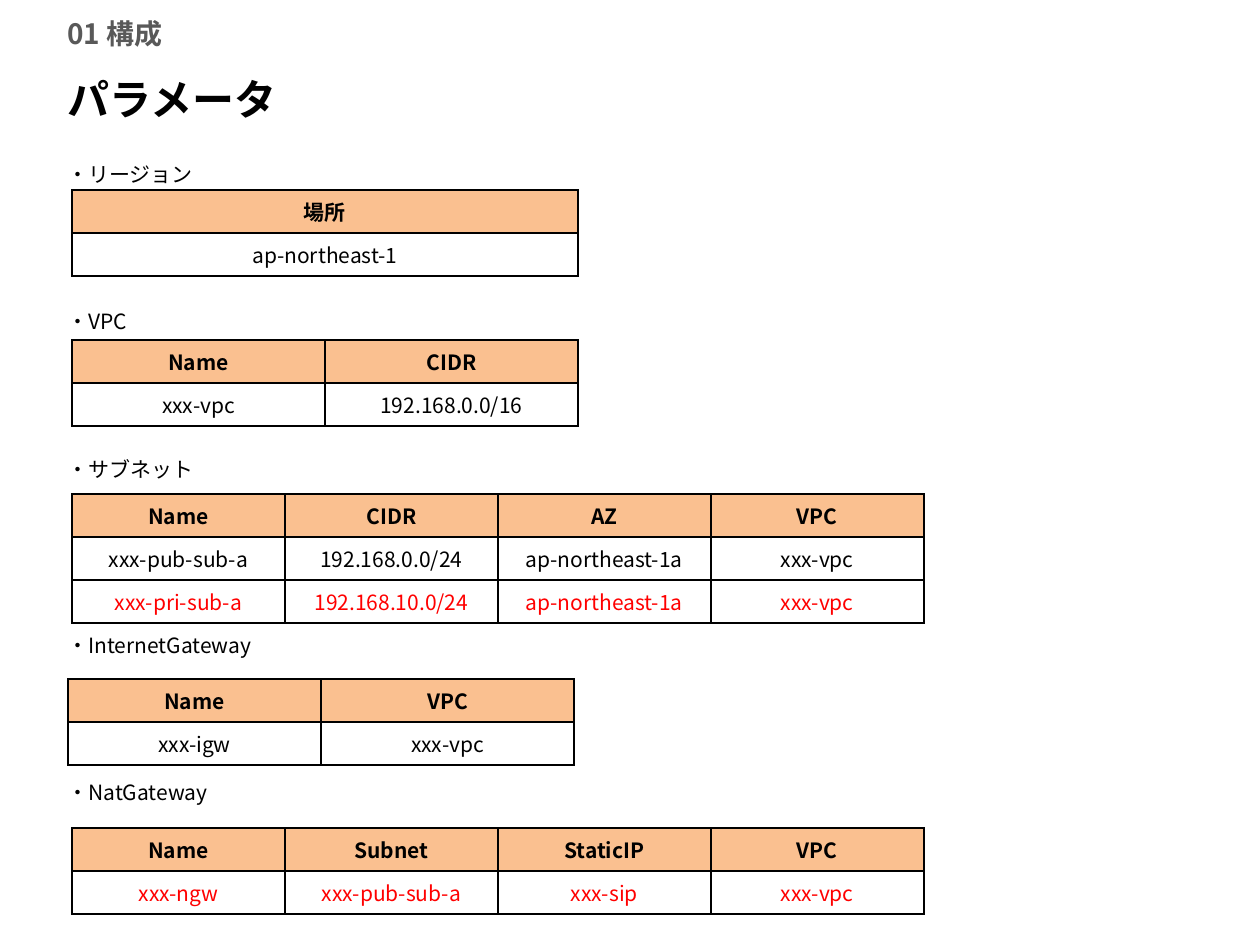
"""Build the parameter slide with its five configuration tables."""
from lxml import etree
from pptx import Presentation
from pptx import util as u
from pptx.dml.color import RGBColor
from pptx.enum import text
from pptx.oxml.ns import qn

SCALE = 914400 / 126
FONT = "Noto Sans CJK JP"
COLORS = {"ink": "000000", "muted": "595959", "changed": "FF0000",
          "header": "FAC090", "plain": "FFFFFF"}


def px(length):
    return u.Emu(round(length * SCALE))


def write(paragraph, words, size=12, color="ink", bold=False, align="LEFT", before=0):
    paragraph.alignment = getattr(text.PP_ALIGN, align)
    paragraph.space_before = u.Pt(before)
    run = paragraph.add_run()
    run.text = words
    run.font.size = u.Pt(size)
    run.font.bold = bold
    run.font.name = FONT
    run.font.color.rgb = RGBColor.from_string(COLORS[color])
    etree.SubElement(run.font._element, qn("a:ea"), typeface=FONT)


deck = Presentation()
deck.slide_width, deck.slide_height = px(1260), px(945)
slide = deck.slides.add_slide(deck.slide_layouts[6])

headings = [
    ("01 構成", 0, 367, 67, 16, "muted"),
    ("パラメータ", 58, 1056, 81, 24, "ink"),
]
for words, top, width, height, size, color in headings:
    heading = slide.shapes.add_textbox(px(55), px(top), px(width), px(height)).text_frame
    heading.word_wrap = True
    heading.vertical_anchor = text.MSO_ANCHOR.MIDDLE
    write(heading.paragraphs[0], words, size=size, color=color, bold=True)

body = slide.shapes.add_textbox(px(55), px(155), px(1158), px(790))
body.fill.solid()
body.fill.fore_color.rgb = RGBColor.from_string(COLORS["plain"])
labels = body.text_frame
labels.word_wrap = True

sections = [
    ("・リージョン", 0, 72, 190, 506, ["場所", "ap-northeast-1"], 2),
    ("・VPC", 70, 72, 340, 253, ["Name CIDR", "xxx-vpc 192.168.0.0/16"], 2),
    ("・サブネット", 70, 72, 494, 213,
     ["Name CIDR AZ VPC",
      "xxx-pub-sub-a 192.168.0.0/24 ap-northeast-1a xxx-vpc",
      "xxx-pri-sub-a 192.168.10.0/24 ap-northeast-1a xxx-vpc"], 2),
    ("・InternetGateway", 86, 68, 679, 253, ["Name VPC", "xxx-igw xxx-vpc"], 2),
    ("・NatGateway", 70, 72, 828, 213,
     ["Name Subnet StaticIP VPC", "xxx-ngw xxx-pub-sub-a xxx-sip xxx-vpc"], 1),
]
for index, (label, before, left, top, column_width, lines, first_changed) in enumerate(sections):
    write(labels.add_paragraph() if index else labels.paragraphs[0], label, before=before)
    rows = [line.split() for line in lines]
    columns = len(rows[0])
    grid = slide.shapes.add_table(len(rows), columns, px(left), px(top),
                                  px(column_width * columns), px(43 * len(rows))).table
    grid.first_row = grid.horz_banding = False
    for column in grid.columns:
        column.width = px(column_width)
    for r, values in enumerate(rows):
        for c, value in enumerate(values):
            cell = grid.cell(r, c)
            cell.vertical_anchor = text.MSO_ANCHOR.MIDDLE
            properties = cell._tc.get_or_add_tcPr()
            for side in ("lnL", "lnR", "lnT", "lnB"):
                border = etree.SubElement(properties, qn(f"a:{side}"), w=str(u.Pt(1)))
                paint = etree.SubElement(border, qn("a:solidFill"))
                etree.SubElement(paint, qn("a:srgbClr"), val=COLORS["ink"])
            cell.fill.solid()
            cell.fill.fore_color.rgb = RGBColor.from_string(COLORS["plain" if r else "header"])
            write(cell.text_frame.paragraphs[0], value, bold=r == 0, align="CENTER",
                  color="changed" if r >= first_changed else "ink")

deck.save("out.pptx")
